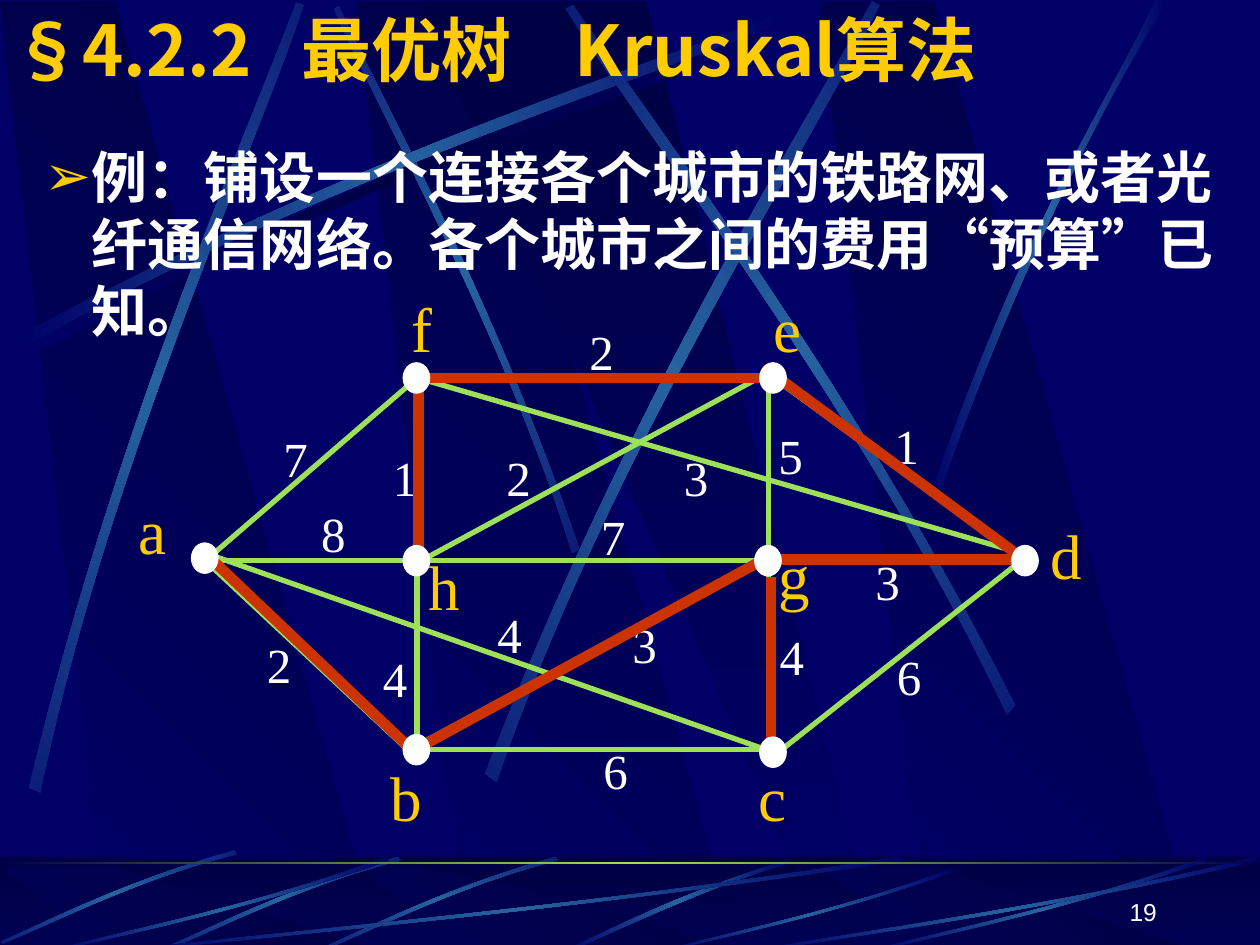
from dataclasses import dataclass
from math import cos, radians, sin
from typing import NamedTuple

from lxml.etree import SubElement
from pptx import Presentation
from pptx.dml.color import RGBColor
from pptx.enum.shapes import MSO_CONNECTOR, MSO_SHAPE
from pptx.enum.text import MSO_ANCHOR, MSO_AUTO_SIZE, PP_ALIGN
from pptx.oxml.ns import qn
from pptx.util import Inches, Pt


@dataclass(frozen=True)
class Theme:
    navy: str = "000066"
    dark: str = "000044"
    glow: str = "2663A0"
    green: str = "9CE157"
    red: str = "CC3300"
    gold: str = "FFCC00"
    white: str = "FFFFFF"
    chinese: str = "Noto Sans CJK SC"
    serif: str = "Times New Roman"
    sans: str = "Arial"
    title_size: int = 40
    body_size: int = 32
    node_size: int = 36
    weight_size: int = 28
    number_size: int = 14
    edge_width: float = 3
    tree_width: float = 6


class Streak(NamedTuple):
    outline: tuple
    rotation: float = 0
    core: str = Theme.glow


class Edge(NamedTuple):
    x1: float
    y1: float
    x2: float
    y2: float


class Label(NamedTuple):
    text: str
    left: float
    top: float


class Node(NamedTuple):
    left: float
    top: float
    label: Label


THEME = Theme()
PANEL_LEFTS = (2.83, 0, 6.5)
TOP_STREAKS = [
    Streak(((0.2, 2.75), (2.84, 1.34), (5.24, 0.59), (6.26, 0.18),
            (6.29, 0.24), (5.28, 0.69), (2.54, 1.51), (0.23, 2.85)), 0, THEME.dark),
    Streak(((4.6, 4.36), (3.91, 2.34), (3.02, 0.77), (2.69, 0.05),
            (2.65, 0.07), (2.95, 0.79), (3.98, 2.58), (4.54, 4.39)), 45),
    Streak(((0.14, 2.67), (2.78, 1.25), (5.18, 0.51), (6.2, 0.1),
            (6.23, 0.16), (5.22, 0.61), (2.48, 1.43), (0.17, 2.77))),
    Streak(((0.23, 6.25), (0.93, 3.34), (1.97, 1.05), (2.35, 0.02),
            (2.41, 0.04), (2.07, 1.09), (0.86, 3.68), (0.32, 6.29)), 311.7),
    Streak(((3.85, 6.14), (4.98, 3.2), (6.38, 1.02), (6.92, 0.01),
            (6.98, 0.04), (6.49, 1.08), (4.86, 3.55), (3.94, 6.21)), 321.6),
    Streak(((8.06, 5.6), (6.7, 2.93), (5.16, 0.95), (4.55, 0.04),
            (4.49, 0.07), (5.07, 1.01), (6.85, 3.25), (7.99, 5.67)), 34.7),
    Streak(((7.38, 3.94), (8.14, 1.73), (8.88, 0.66), (9.17, 0),
            (9.27, 0), (8.36, 1.45), (7.69, 3.22), (7.44, 3.97))),
]
SHORT_STREAK = ((1.86, 0.03), (0.99, 0.27), (0.32, 0.62), (0.01, 0.75),
                (0.02, 0.77), (0.33, 0.65), (1.1, 0.25), (1.88, 0.06))
LONG_STREAK = ((1, 0.03), (0.57, 0.43), (0.17, 0.64), (0.01, 0.75),
               (0, 0.74), (0.17, 0.61), (0.62, 0.38), (0.99, 0))
FLOOR_STREAKS = [
    Streak(((6.27, 6.82), (5.37, 7.09), (4.77, 7.42), (4.48, 7.54),
            (4.53, 7.55), (4.9, 7.38), (5.71, 7), (6.28, 6.85))),
    *[Streak(tuple((left + x, top + y) for x, y in SHORT_STREAK), 315)
      for left, top in ((2.55, 6.77), (1.3, 6.77), (0, 6.72))],
    *[Streak(tuple((left + x * width, 7.55 + (y - 0.75) * height) for x, y in LONG_STREAK))
      for left, width, height in ((1, 6.17, 1), (0.42, 2.67, 1), (5.27, 2.31, 0.88),
                                  (6.92, 2.67, 1), (6, 4, 1))],
]
EDGES = [Edge(*ends) for ends in (
    (3.25, 5.95, 6.15, 4.38), (3.25, 4.5, 6.15, 2.93), (6.08, 5.95, 1.63, 4.39),
    (8.07, 4.38, 3.35, 3.01), (3.31, 5.95, 3.31, 3.05), (6.1, 5.95, 6.1, 3.05),
    (1.63, 4.45, 3.31, 6.02), (3.31, 5.95, 6.14, 5.95), (6.14, 6, 8.13, 4.43),
    (1.63, 4.45, 8.13, 4.45), (1.63, 4.45, 3.31, 3), (3.31, 3, 6.14, 3), (6.14, 3, 8.13, 4.45))]
TREE_EDGES = [Edge(*ends) for ends in (
    (3.32, 3.08, 3.32, 4.42), (6.18, 3, 8.1, 4.42), (3.35, 3, 6.1, 3), (6.1, 4.42, 3.35, 5.92),
    (6.15, 4.44, 8.15, 4.44), (1.67, 4.43, 3.33, 6.01), (6.12, 4.58, 6.12, 5.92))]
NODES = [
    Node(1.52, 4.31, Label("a", 1, 3.85)), Node(3.2, 5.83, Label("b", 3, 5.97)),
    Node(6.03, 5.85, Label("c", 5.92, 5.97)), Node(8.03, 4.33, Label("d", 8.24, 4.05)),
    Node(6.03, 2.88, Label("e", 6.04, 2.25)), Node(3.2, 2.88, Label("f", 3.17, 2.25)),
    Node(5.99, 4.33, Label("g", 6.08, 4.21)), Node(3.2, 4.33, Label("h", 3.3, 4.3))]
WEIGHTS = [Label(*weight) for weight in (
    ("7", 2.15, 3.35), ("6", 4.69, 5.83), ("2", 2.02, 4.99), ("8", 2.45, 3.95),
    ("1", 3.02, 3.5), ("4", 2.94, 5.1), ("4", 3.85, 4.75), ("3", 4.92, 4.83),
    ("4", 6.09, 4.92), ("7", 4.67, 3.97), ("2", 3.92, 3.5), ("3", 5.33, 3.5),
    ("5", 6.08, 3.33), ("6", 7.02, 5.08), ("3", 6.85, 4.33), ("2", 4.58, 2.5), ("1", 7, 3.25))]


def paint_gradient(shape, colors: tuple, angle: float) -> None:
    """Fill a shape with evenly spaced colours along a clockwise angle."""
    shape.shadow.inherit = False
    shape.line.fill.background()
    shape.fill.gradient()
    shape.fill.gradient_angle = (360 - angle) % 360
    stops = shape._element.spPr.find(".//" + qn("a:gsLst"))
    for stop in list(stops):
        stops.remove(stop)
    for index, color in enumerate(colors):
        stop = SubElement(stops, qn("a:gs"), pos=str(index * 100000 // (len(colors) - 1)))
        SubElement(stop, qn("a:srgbClr"), val=color)


def draw_outline(page, points, colors: tuple, angle: float):
    """Draw a closed gradient polygon."""
    corners = [(Inches(x), Inches(y)) for x, y in points]
    builder = page.shapes.build_freeform(*corners[0])
    builder.add_line_segments(corners[1:], close=True)
    shape = builder.convert_to_shape()
    paint_gradient(shape, colors, angle)
    return shape


def turn(point: tuple, degrees: float) -> tuple:
    """Turn a point clockwise about the slide corner."""
    x, y = point
    c, s = cos(radians(degrees)), sin(radians(degrees))
    return x * c - y * s, x * s + y * c


def level(points: tuple, degrees: float) -> list:
    """Return the outline as it lies before the shape is rotated."""
    flat = [turn(point, -degrees) for point in points]
    center = tuple((min(axis) + max(axis)) / 2 for axis in zip(*flat))
    target = turn(center, degrees)
    return [(x + target[0] - center[0], y + target[1] - center[1]) for x, y in flat]


def draw_streaks(page, streaks: list) -> None:
    """Draw curved light streaks that fade at both ends."""
    for streak in streaks:
        shape = draw_outline(page, level(streak.outline, streak.rotation),
                             (THEME.navy, streak.core, THEME.navy), 0)
        shape.rotation = streak.rotation
        lines = list(shape._element.iter(qn("a:lnTo")))
        for first in (0, 4):
            curve = SubElement(lines[first].getparent(), qn("a:cubicBezTo"))
            lines[first].addprevious(curve)
            for line in lines[first:first + 3]:
                curve.append(line[0])
                line.getparent().remove(line)


def draw_panels(page, top: float, bottom: float) -> None:
    """Draw three slanted panels and one beam between two heights."""
    for left in PANEL_LEFTS:
        points = [(left + 0.86, bottom), (left + 3.02, bottom), (left + 0.91, top), (left, top)]
        draw_outline(page, points, (THEME.navy, THEME.dark), 315)
    beam = [(3.33, top), (6.58, bottom), (6.94, bottom), (5.13, top)]
    draw_outline(page, beam, (THEME.dark, THEME.navy), 90)


def add_strip(page, top: float, height: float):
    """Add a rectangle across the whole slide."""
    return page.shapes.add_shape(MSO_SHAPE.RECTANGLE, 0, Inches(top), Inches(10), Inches(height))


def draw_backdrop(page) -> None:
    """Draw the decorated background and hand it to the slide master."""
    page.background.fill.solid()
    page.background.fill.fore_color.rgb = RGBColor.from_string(THEME.navy)
    draw_panels(page, 0.01, 7.52)
    draw_streaks(page, TOP_STREAKS)
    paint_gradient(add_strip(page, 6.8, 0.75), (THEME.dark, THEME.navy), 90)
    draw_panels(page, 6.88, 7.55)
    veil = add_strip(page, 6.8, 0.75)
    veil.shadow.inherit = False
    veil.line.fill.background()
    veil.fill.solid()
    veil.fill.fore_color.rgb = RGBColor.from_string(THEME.dark)
    SubElement(veil._element.spPr.find(".//" + qn("a:srgbClr")), qn("a:alpha"), val="50000")
    draw_streaks(page, FLOOR_STREAKS)
    paint_gradient(add_strip(page, 6.84, 0.02), (THEME.dark, THEME.green, THEME.dark), 0)
    master = page.slide_layout.slide_master
    art = [shape for shape in page.shapes if not shape.is_placeholder]
    for index, shape in enumerate(art):
        shape._element.nvSpPr.cNvPr.set("id", str(100 + index))
        master.shapes._spTree.insert(2 + index, shape._element)


def add_span(para, text: str, size: int, color: str, font: str, bold: bool = False) -> None:
    """Add one formatted run."""
    span = para.add_run()
    span.text = text
    span.font.size, span.font.bold, span.font.name = Pt(size), bold, font
    span.font.color.rgb = RGBColor.from_string(color)
    SubElement(span._r.get_or_add_rPr(), qn("a:ea"), typeface=THEME.chinese)


def prepare(box, left: float, top: float, width: float, height: float):
    """Place a placeholder and return its first paragraph."""
    box.left, box.top, box.width, box.height = map(Inches, (left, top, width, height))
    box.text_frame.auto_size = MSO_AUTO_SIZE.NONE
    return box.text_frame.paragraphs[0]


def write_title(page) -> None:
    """Write the heading."""
    para = prepare(page.shapes.title, 0, 0, 8.5, 0.77)
    page.shapes.title.text_frame.vertical_anchor = MSO_ANCHOR.MIDDLE
    para.alignment = PP_ALIGN.LEFT
    tabs = SubElement(para._p.get_or_add_pPr(), qn("a:tabLst"))
    for stop in (2.29, 4.46):
        SubElement(tabs, qn("a:tab"), pos=str(Inches(stop)), algn="l")
    add_span(para, "§4.2.2\t最优树\tKruskal算法", THEME.title_size, THEME.gold, THEME.chinese, True)


def write_body(page) -> None:
    """Write the bulleted example."""
    para = prepare(page.placeholders[1], 0.25, 1.08, 9.58, 5.92)
    para.space_before, para.line_spacing = Pt(0), Pt(38.4)
    properties = para._p.get_or_add_pPr()
    properties.set("marL", str(Inches(0.38)))
    properties.set("indent", str(Inches(-0.38)))
    SubElement(SubElement(properties, qn("a:buClr")), qn("a:srgbClr"), val=THEME.gold)
    SubElement(properties, qn("a:buChar"), char="➢")
    for text, font in (("例：铺设一个连接各个城市的铁路网、或者光纤通信网络。各个城市之间的费用", THEME.chinese),
                       ("“", THEME.serif), ("预算", THEME.chinese),
                       ("”", THEME.serif), ("已知。", THEME.chinese)):
        add_span(para, text, THEME.body_size, THEME.white, font, True)


def draw_edges(page, edges: list, color: str, width: float) -> None:
    """Draw straight graph edges."""
    for edge in edges:
        line = page.shapes.add_connector(MSO_CONNECTOR.STRAIGHT, *map(Inches, edge))
        line.line.color.rgb = RGBColor.from_string(color)
        line.line.width = Pt(width)
        SubElement(line._element.spPr, qn("a:effectLst"))


def write_label(page, label: Label, size: int, color: str, width: float, height: float) -> None:
    """Write a node name or an edge weight."""
    box = page.shapes.add_textbox(*map(Inches, (label.left, label.top, width, height)))
    box.text_frame.word_wrap = False
    box.text_frame.auto_size = MSO_AUTO_SIZE.SHAPE_TO_FIT_TEXT
    add_span(box.text_frame.paragraphs[0], label.text, size, color, THEME.serif)


def draw_graph(page) -> None:
    """Draw the weighted graph and its minimum spanning tree."""
    draw_edges(page, EDGES, THEME.green, THEME.edge_width)
    for weight in WEIGHTS:
        write_label(page, weight, THEME.weight_size, THEME.white, 0.4, 0.57)
    for node in NODES:
        width = {"f": 0.37, "a": 0.42, "c": 0.42, "e": 0.42}.get(node.label.text, 0.45)
        write_label(page, node.label, THEME.node_size, THEME.gold, width, 0.7)
    draw_edges(page, TREE_EDGES, THEME.red, THEME.tree_width)
    for node in NODES:
        dot = page.shapes.add_shape(
            MSO_SHAPE.OVAL, *map(Inches, (node.left, node.top, 0.21, 0.24)))
        dot.shadow.inherit = False
        dot.fill.solid()
        dot.fill.fore_color.rgb = dot.line.color.rgb = RGBColor.from_string(THEME.white)
        dot.line.width = Pt(0.75)


def write_page_number(page) -> None:
    """Write the page number at the lower right."""
    box = page.shapes.add_textbox(*map(Inches, (7.2, 6.9, 2.08, 0.5)))
    box.text_frame.word_wrap = True
    box.text_frame.vertical_anchor = MSO_ANCHOR.BOTTOM
    para = box.text_frame.paragraphs[0]
    para.alignment = PP_ALIGN.RIGHT
    add_span(para, "19", THEME.number_size, THEME.white, THEME.sans)


def main() -> None:
    """Build and save the deck."""
    deck = Presentation()
    deck.slide_width, deck.slide_height = Inches(10), Inches(7.5)
    page = deck.slides.add_slide(deck.slide_layouts[1])
    draw_backdrop(page)
    write_title(page)
    write_body(page)
    draw_graph(page)
    write_page_number(page)
    deck.save("out.pptx")


if __name__ == "__main__":
    main()
